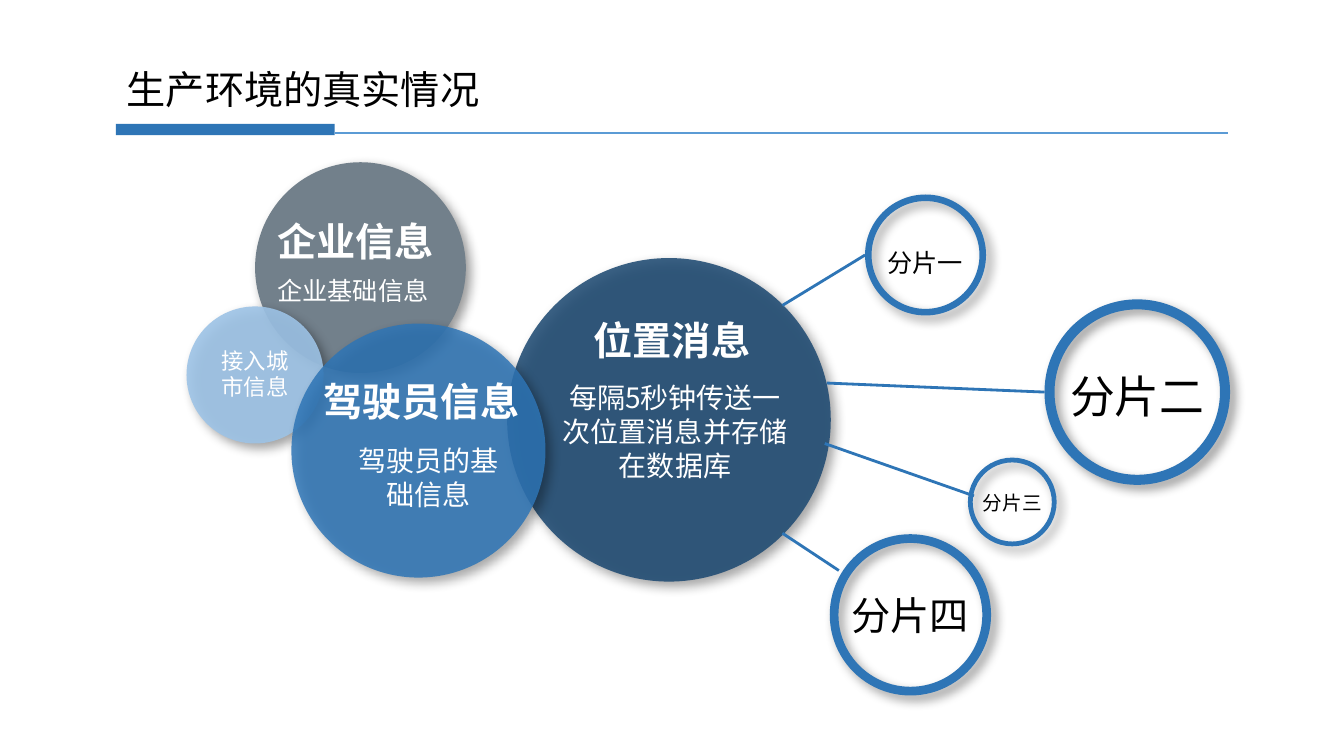
from dataclasses import dataclass

from lxml.etree import SubElement
from pptx import Presentation
from pptx.dml.color import RGBColor
from pptx.enum.shapes import MSO_CONNECTOR, MSO_SHAPE
from pptx.enum.text import MSO_AUTO_SIZE, PP_ALIGN
from pptx.oxml.ns import qn
from pptx.util import Emu, Inches, Pt

# Grid: square cells, 75 rows on the slide's height
SLIDE_WIDTH, SLIDE_HEIGHT = Inches(13.33), Inches(7.5)
CELL = SLIDE_HEIGHT / 75

FONT = "Noto Sans CJK SC"
WHITE, BLACK, BLUE = "FFFFFF", "000000", "2E75B6"
RING_PERCENT = 5.4


@dataclass
class Disc:
    column: float
    row: float
    diameter: float
    color: str
    opacity: int = 100


@dataclass
class Ring:
    column: float
    row: float
    diameter: float


@dataclass
class Bar:
    column: float
    row: float
    columns: float
    rows: float


@dataclass
class Link:
    start: tuple[float, float]
    end: tuple[float, float]
    color: str = BLUE


@dataclass
class Label:
    text: str
    column: float
    row: float
    columns: float
    rows: float
    size: int
    color: str = WHITE
    bold: bool = False
    wrap: bool = True
    centered: bool = True


def heading(text: str, column: float, row: float, columns: float) -> Label:
    return Label(text, column, row, columns, 5.7, 28, bold=True, wrap=False, centered=False)


# Everything on the slide, from back to front
PARTS = [
    # Background circles
    Disc(25.3, 16.1, 20.9, "72808B"),
    Disc(18.5, 30.4, 13.6, "9DC3E6", 90),
    Disc(50.3, 25.6, 32.1, "1E4A72", 87),
    Ring(96, 45.4, 8.8),
    # Title
    Bar(11.5, 12.3, 21.7, 1.1),
    Link((33.2, 13.2), (121.8, 13.2), "5B9BD5"),
    Label("生产环境的真实情况", 11.6, 6, 37.4, 5.7, 28, BLACK, wrap=False, centered=False),
    # Shards and their links
    Ring(85.8, 19.3, 12),
    Link((77.6, 30.3), (85.8, 25.3)),
    Ring(103.6, 29.7, 18.4),
    Link((82, 38), (103.6, 38.9)),
    Ring(82.3, 53, 16),
    Link((77.6, 52.9), (83.2, 56.6)),
    # Circle texts
    Label("接入城市信息", 20.3, 33.9, 10, 6.4, 16),
    Disc(28.9, 32.1, 25.2, BLUE, 85),
    heading("企业信息", 26.5, 21.1, 17.7),
    Label("企业基础信息", 24.4, 26.8, 21.2, 4, 18),
    heading("位置消息", 57.9, 30.9, 17.7),
    Label("每隔5秒钟传送一次位置消息并存储在数据库", 54.2, 37.3, 25.5, 11.1, 20),
    # Shard names
    Label("分片二", 104.4, 36.1, 16.8, 6.4, 32, BLACK),
    Label("分片四", 83.3, 58.2, 13.9, 5.7, 28, BLACK),
    Label("分片一", 87, 24, 9.6, 4, 18, BLACK, wrap=False, centered=False),
    Link((81.8, 44), (96.6, 49.2)),
    Label("分片三", 96.5, 48.2, 12.8, 3.4, 14, BLACK, centered=False),
    # Driver circle text
    heading("驾驶员信息", 31.1, 36.9, 21.7),
    Label("驾驶员的基础信息", 33.8, 43.5, 17.4, 7.7, 20),
]


def cells(*counts: float) -> list[Emu]:
    return [Emu(round(count * CELL)) for count in counts]


def rgb(color: str) -> RGBColor:
    return RGBColor.from_string(color)


def add_alpha(color_node, opacity: int) -> None:
    SubElement(color_node, qn("a:alpha")).set("val", str(opacity * 1000))


def add_solid(page, kind, frame: list[Emu], color: str):
    shape = page.shapes.add_shape(kind, *frame)
    shape.shadow.inherit = False
    shape.fill.solid()
    shape.fill.fore_color.rgb = rgb(color)
    shape.line.fill.background()
    return shape


def cast_shadow(shape) -> None:
    effects = shape._element.spPr.find(qn("a:effectLst"))
    shadow = SubElement(effects, qn("a:outerShdw"), blurRad=str(Pt(8)), dist=str(Pt(5)),
                        dir=str(45 * 60000), algn="tl", rotWithShape="0")
    add_alpha(SubElement(shadow, qn("a:srgbClr"), val=BLACK), 40)


def draw_disc(page, disc: Disc) -> None:
    frame = cells(disc.column, disc.row, disc.diameter, disc.diameter)
    shape = add_solid(page, MSO_SHAPE.OVAL, frame, disc.color)
    if disc.opacity < 100:
        fill = shape._element.spPr.find(qn("a:solidFill"))
        add_alpha(fill[0], disc.opacity)
    cast_shadow(shape)


def draw_ring(page, ring: Ring) -> None:
    frame = cells(ring.column, ring.row, ring.diameter, ring.diameter)
    shape = add_solid(page, MSO_SHAPE.DONUT, frame, BLUE)
    shape.adjustments[0] = RING_PERCENT / 100
    cast_shadow(shape)


def draw_bar(page, bar: Bar) -> None:
    frame = cells(bar.column, bar.row, bar.columns, bar.rows)
    add_solid(page, MSO_SHAPE.RECTANGLE, frame, BLUE)


def draw_link(page, link: Link) -> None:
    ends = cells(*link.start, *link.end)
    connector = page.shapes.add_connector(MSO_CONNECTOR.STRAIGHT, *ends)
    connector.line.color.rgb = rgb(link.color)
    connector.line.width = Pt(2)
    SubElement(connector._element.spPr, qn("a:effectLst"))


def draw_label(page, label: Label) -> None:
    box = page.shapes.add_textbox(*cells(label.column, label.row, label.columns, label.rows))
    box.text_frame.word_wrap = label.wrap
    box.text_frame.auto_size = MSO_AUTO_SIZE.SHAPE_TO_FIT_TEXT
    para = box.text_frame.paragraphs[0]
    para.alignment = PP_ALIGN.CENTER if label.centered else PP_ALIGN.LEFT
    span = para.add_run()
    span.text = label.text
    span.font.size = Pt(label.size)
    span.font.bold = label.bold
    span.font.color.rgb = rgb(label.color)
    span.font.name = FONT
    SubElement(span.font._element, qn("a:ea"), typeface=FONT)


DRAWERS = {Disc: draw_disc, Ring: draw_ring, Bar: draw_bar, Link: draw_link, Label: draw_label}


def main() -> None:
    deck = Presentation()
    deck.slide_width, deck.slide_height = SLIDE_WIDTH, SLIDE_HEIGHT
    page = deck.slides.add_slide(deck.slide_layouts[6])
    page.background.fill.solid()
    page.background.fill.fore_color.rgb = rgb(WHITE)
    for part in PARTS:
        DRAWERS[type(part)](page, part)
    deck.save("out.pptx")


if __name__ == "__main__":
    main()
